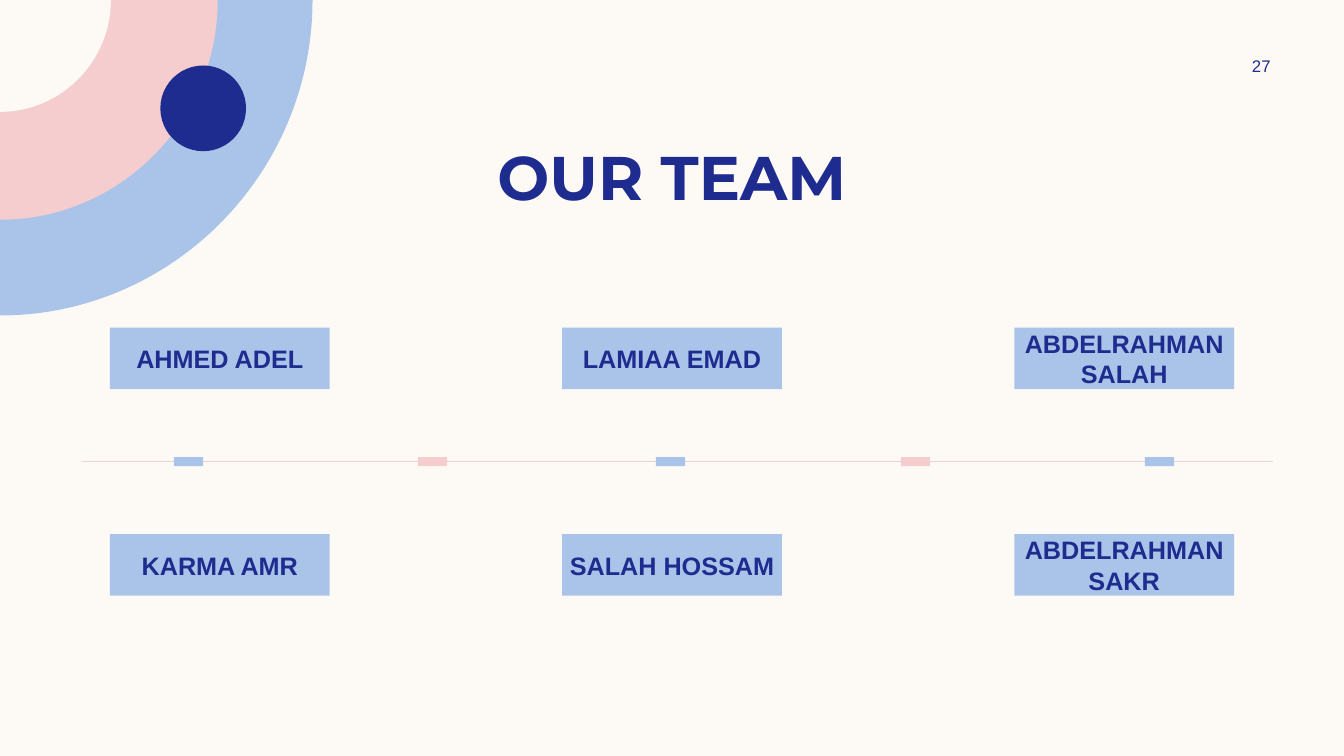
import pptx
import pptx.dml.color
import pptx.enum.shapes
import pptx.enum.text
import pptx.oxml
import pptx.oxml.ns
import pptx.util
from pptx.util import Inches

NAVY, BLUE, PINK, CREAM, ROSE = "1F2C8F", "AAC3E8", "F5CDCE", "FDFAF6", "F2D1D1"
SHAPES = pptx.enum.shapes.MSO_SHAPE
TEAM = [
    ["AHMED ADEL", "LAMIAA EMAD", "ABDELRAHMAN SALAH"],
    ["KARMA AMR", "SALAH HOSSAM", "ABDELRAHMAN SAKR"],
]


def paint(fill, colour):
    fill.solid()
    fill.fore_color.rgb = pptx.dml.color.RGBColor.from_string(colour)


def finish(shape, colour):
    shape.shadow.inherit = False
    paint(shape.fill, colour)
    shape.line.fill.background()


def write(shape, text, size, font, bold=False):
    frame = shape.text_frame
    frame.text = text
    frame.word_wrap = True
    frame.auto_size = pptx.enum.text.MSO_AUTO_SIZE.NONE
    frame.vertical_anchor = pptx.enum.text.MSO_ANCHOR.MIDDLE
    paragraph = frame.paragraphs[0]
    paragraph.alignment = pptx.enum.text.PP_ALIGN.CENTER
    for run in paragraph.runs:
        run.font.size = pptx.util.Pt(size)
        run.font.name = font
        run.font.bold = bold
        paint(run.font.fill, NAVY)


def add_block(slide, left, top, width, height, colour, kind=SHAPES.RECTANGLE):
    block = slide.shapes.add_shape(
        kind, Inches(left), Inches(top), Inches(width), Inches(height))
    finish(block, colour)
    return block


def add_quarter_disc(slide, left, top, width, height, colour):
    bend = 0.55
    rim = [(1, 0), (1, bend), (bend, 1), (0, 1)]
    builder = slide.shapes.build_freeform(Inches(left), Inches(top))
    builder.add_line_segments(
        [(Inches(left + width * x), Inches(top + height * y)) for x, y in rim],
        close=True)
    disc = builder.convert_to_shape()
    finish(disc, colour)
    qn = pptx.oxml.ns.qn
    edge, *curve_parts = list(disc.element.iter(qn("a:lnTo")))
    curve = edge.makeelement(qn("a:cubicBezTo"))
    edge.addnext(curve)
    for part in curve_parts:
        curve.append(part[0])
        part.getparent().remove(part)


def add_corner_rings(slide, left, top):
    for width, height, colour in [
            (3.1, 3.13, BLUE), (2.16, 2.18, PINK), (1.1, 1.11, CREAM)]:
        add_quarter_disc(slide, left, top, width, height, colour)
    add_block(slide, left + 1.59, top + 0.65, 0.85, 0.85, NAVY, SHAPES.OVAL)


def add_heading(slide, left, top, width, height):
    heading = slide.shapes.title
    heading.left, heading.top = Inches(left), Inches(top)
    heading.width, heading.height = Inches(width), Inches(height)
    write(heading, "OUR TEAM", 44, "Montserrat", True)


def add_page_number(slide, left, top, width, height):
    page_number = slide.shapes.add_textbox(
        Inches(left), Inches(top), Inches(width), Inches(height))
    write(page_number, "27", 12, "Arial")


def add_timeline(slide, left, middle, width):
    axis = slide.shapes.add_connector(
        pptx.enum.shapes.MSO_CONNECTOR.STRAIGHT,
        Inches(left), Inches(middle), Inches(left + width), Inches(middle))
    paint(axis.line.fill, ROSE)
    axis.line.width = pptx.util.Pt(1)
    properties = axis.element.spPr
    properties.append(pptx.oxml.parse_xml(
        '<a:effectLst xmlns:a="http://schemas.openxmlformats.org/drawingml/2006/main"/>'))
    tick_width, tick_height = 0.29, 0.09
    for index, offset in enumerate([1.06, 3.48, 5.84, 8.27, 10.69]):
        add_block(slide, left + offset - tick_width / 2, middle - tick_height / 2,
                  tick_width, tick_height, [BLUE, PINK][index % 2])


def add_team(slide, left, top, width, height):
    card_width, card_height = 2.18, 0.61
    column_step = (width - card_width) / (len(TEAM[0]) - 1)
    row_step = (height - card_height) / (len(TEAM) - 1)
    for row, members in enumerate(TEAM):
        for column, member in enumerate(members):
            card = add_block(slide, left + column * column_step,
                             top + row * row_step, card_width, card_height, BLUE)
            frame = card.text_frame
            frame.margin_left = frame.margin_right = 0
            frame.margin_top = frame.margin_bottom = 0
            write(card, member, 18, "Arial", True)


def build_team_slide(deck):
    slide = deck.slides.add_slide(deck.slide_layouts[5])
    paint(slide.background.fill, CREAM)
    add_corner_rings(slide, 0, 0)
    add_heading(slide, 0.83, 1.32, 11.67, 0.84)
    add_page_number(slide, 11.97, 0.5, 1.08, 0.3)
    add_timeline(slide, 0.81, 4.58, 11.82)
    add_team(slide, 1.09, 3.25, 11.15, 2.66)


def main():
    deck = pptx.Presentation()
    deck.slide_width, deck.slide_height = Inches(13.33), Inches(7.5)
    build_team_slide(deck)
    deck.save("out.pptx")


if __name__ == "__main__":
    main()
